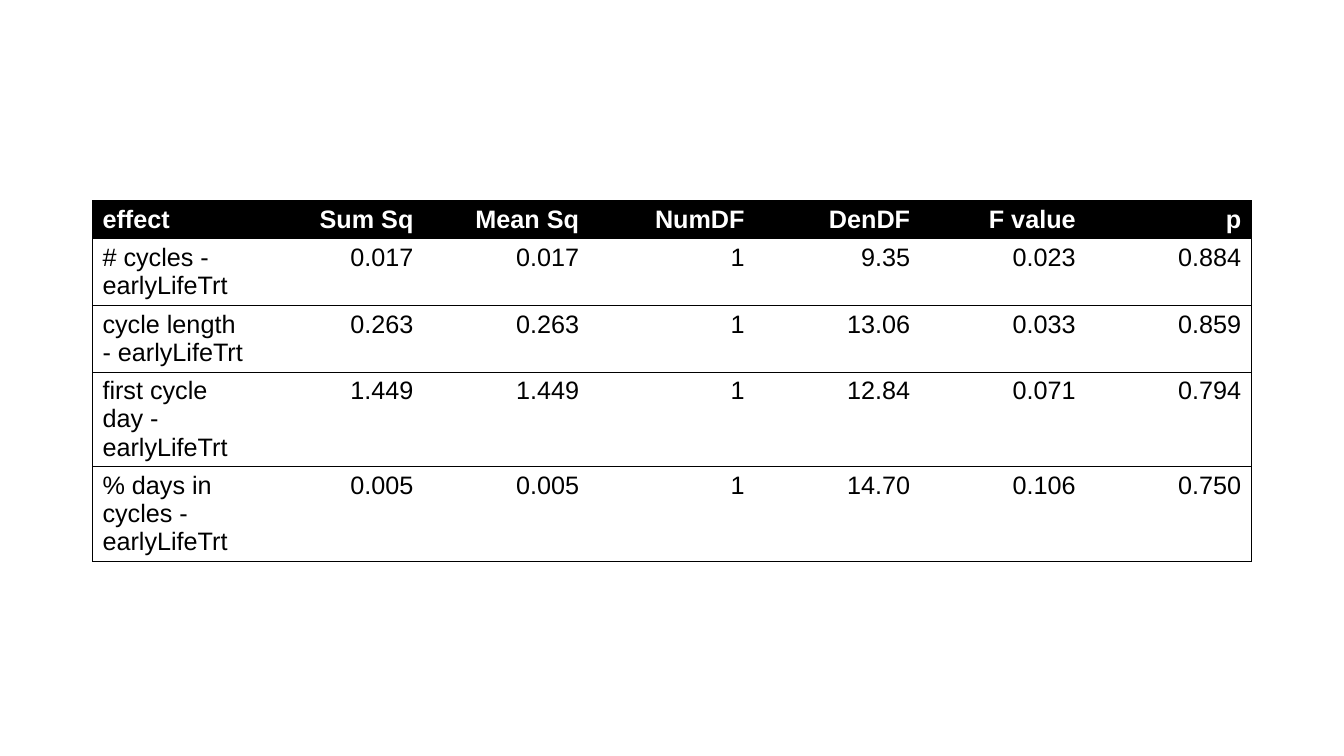
from lxml import etree
from pptx import Presentation
from pptx.dml.color import RGBColor
from pptx.enum.text import PP_ALIGN
from pptx.oxml.ns import qn
from pptx.util import Cm, Pt

LEFT, RIGHT = PP_ALIGN.LEFT, PP_ALIGN.RIGHT

# Content
HEADER = ("effect", "Sum Sq", "Mean Sq", "NumDF", "DenDF", "F value", "p")
EFFECTS = [
    ("# cycles - earlyLifeTrt", "0.017", "0.017", "1", "9.35", "0.023", "0.884"),
    ("cycle length - earlyLifeTrt", "0.263", "0.263", "1", "13.06", "0.033", "0.859"),
    ("first cycle day - earlyLifeTrt", "1.449", "1.449", "1", "12.84", "0.071", "0.794"),
    ("% days in cycles - earlyLifeTrt", "0.005", "0.005", "1", "14.70", "0.106", "0.750"),
]
LINES_PER_ROW = (1, 2, 2, 3, 3)


class Theme:
    font = "Arial"
    text_size = Pt(18)
    border_width = Pt(0.5)
    dark = "000000"
    light = "FFFFFF"


# Layout in centimetres
SLIDE_WIDTH, SLIDE_HEIGHT = 33.87, 19.05
TABLE_WIDTH, TABLE_TOP = 29.21, 5.05
FIRST_LINE_HEIGHT, NEXT_LINE_HEIGHT = 0.95, 0.71


def set_borders(cell, visible_edges):
    """Draw the named edges and clear the others, in schema order."""
    properties = cell._tc.get_or_add_tcPr()
    for position, edge in enumerate(("lnL", "lnR", "lnT", "lnB")):
        line = etree.Element(qn(f"a:{edge}"), w=str(Theme.border_width))
        if edge in visible_edges:
            fill = etree.SubElement(line, qn("a:solidFill"))
            etree.SubElement(fill, qn("a:srgbClr"), val=Theme.dark)
        else:
            etree.SubElement(line, qn("a:noFill"))
        properties.insert(position, line)


def format_cell(cell, text, is_header, alignment):
    cell.text_frame.text = text
    cell.fill.solid()
    cell.fill.fore_color.rgb = RGBColor.from_string(Theme.dark if is_header else Theme.light)
    paragraph = cell.text_frame.paragraphs[0]
    paragraph.alignment = alignment
    font = paragraph.runs[0].font
    font.name = Theme.font
    font.size = Theme.text_size
    font.bold = is_header
    font.color.rgb = RGBColor.from_string(Theme.light if is_header else Theme.dark)


def add_effects_table(slide):
    rows = [HEADER, *EFFECTS]
    heights = [FIRST_LINE_HEIGHT + NEXT_LINE_HEIGHT * (lines - 1) for lines in LINES_PER_ROW]
    frame = slide.shapes.add_table(
        len(rows), len(HEADER), Cm((SLIDE_WIDTH - TABLE_WIDTH) / 2), Cm(TABLE_TOP),
        Cm(TABLE_WIDTH), Cm(sum(heights)))
    table = frame.table
    table.horz_banding = False

    for column in table.columns:
        column.width = Cm(TABLE_WIDTH / len(HEADER))
    for row, height in zip(table.rows, heights):
        row.height = Cm(height)

    last_column = len(HEADER) - 1
    for row_index, values in enumerate(rows):
        for column_index, text in enumerate(values):
            cell = table.cell(row_index, column_index)
            format_cell(cell, text, row_index == 0, RIGHT if column_index else LEFT)
            edges = {"lnT", "lnB"}
            if column_index == 0:
                edges.add("lnL")
            if column_index == last_column:
                edges.add("lnR")
            set_borders(cell, edges)


def main():
    presentation = Presentation()
    presentation.slide_width = Cm(SLIDE_WIDTH)
    presentation.slide_height = Cm(SLIDE_HEIGHT)
    slide = presentation.slides.add_slide(presentation.slide_layouts[6])
    add_effects_table(slide)
    presentation.save("out.pptx")


if __name__ == "__main__":
    main()
